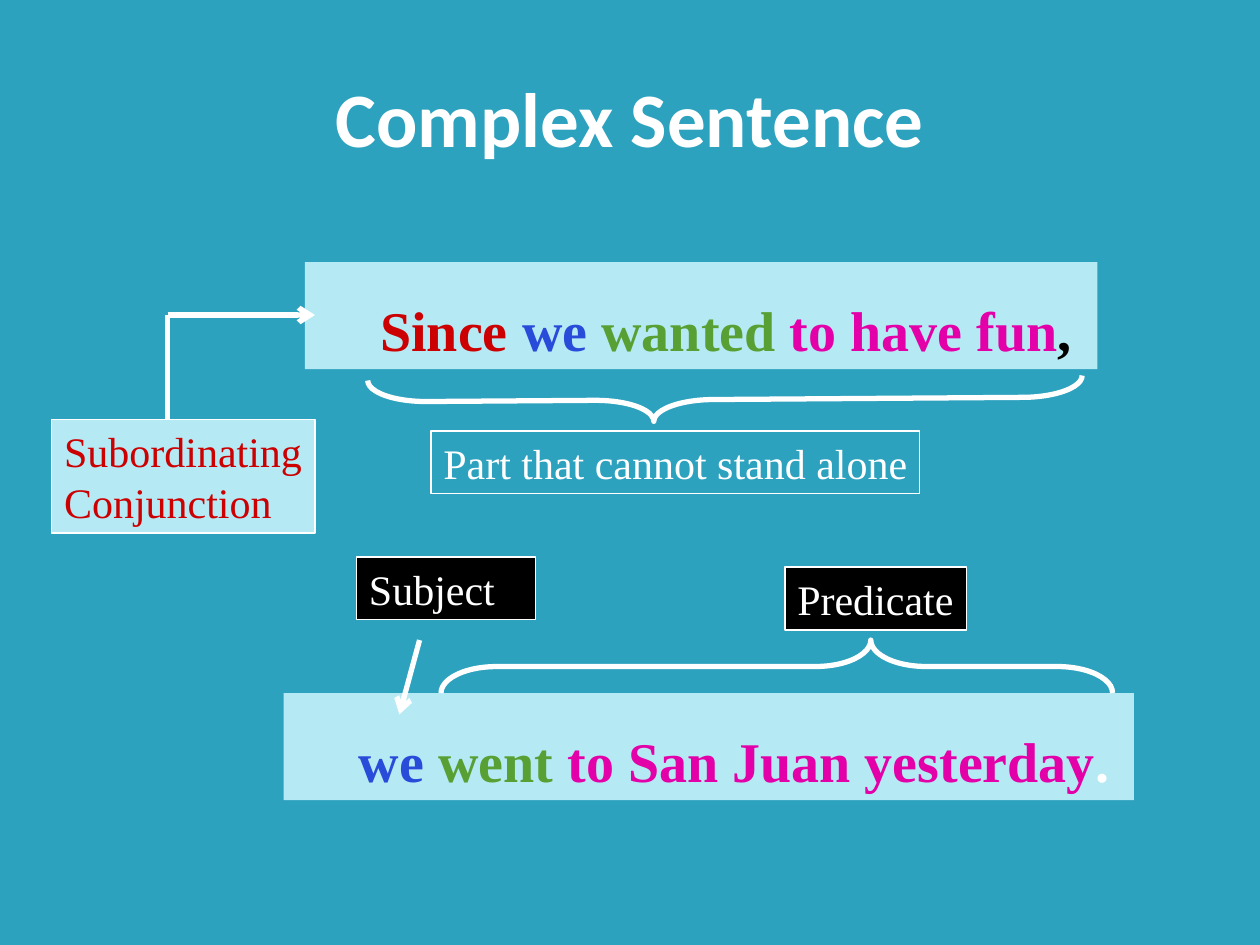
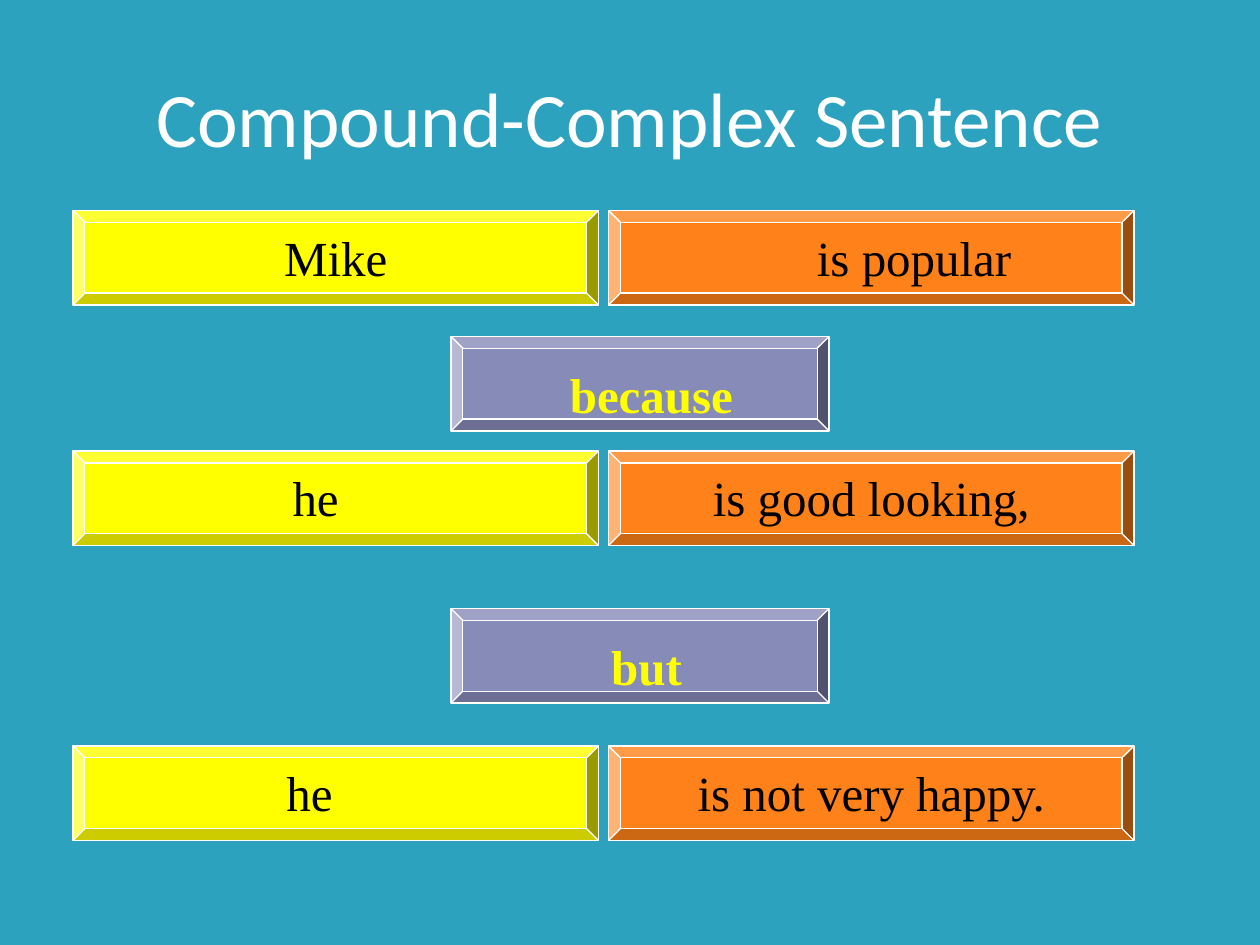
from lxml import etree
from pptx import Presentation
from pptx.dml.color import RGBColor
from pptx.enum.shapes import MSO_CONNECTOR, MSO_SHAPE
from pptx.enum.text import MSO_ANCHOR as ANCHOR, PP_ALIGN as ALIGN
from pptx.oxml.ns import qn
from pptx.util import Inches, Pt

COLORS = {
    "background": "2DA2BF", "pale": "B5E9F4", "white": "FFFFFF", "black": "000000",
    "conjunction": "CC0000", "subject": "294BD9", "verb": "58A034", "rest": "E400A8",
    "yellow": "FFFF00", "orange": "FF8119", "violet": "878BB8",
}
TITLE_FONT = {"name": "Calibri", "size": Pt(44)}
SENTENCE_FONT = {"name": "Times New Roman", "size": Pt(32), "bold": True}
LABEL_FONT = {"name": "Times New Roman", "size": Pt(24)}
CLAUSE_FONT = {"name": "Times New Roman", "size": Pt(28)}
CONNECTIVE_FONT = {**CLAUSE_FONT, "bold": True}


def rgb(color):
    return RGBColor.from_string(COLORS[color])


def inches(box):
    return [Inches(length) for length in box]


def style_font(font, settings, color):
    for name, value in settings.items():
        setattr(font, name, value)
    font.color.rgb = rgb(color)


def add_panel(slide, kind, box, fill=None, line=None, line_width=0.75):
    panel = slide.shapes.add_shape(kind, *inches(box))
    panel.shadow.inherit = False
    for part, color in ((panel.fill, fill), (panel.line.fill, line)):
        if color:
            part.solid()
            part.fore_color.rgb = rgb(color)
        else:
            part.background()
    if line:
        panel.line.width = Pt(line_width)
    return panel


def add_titled_slide(prs, title, bold=False):
    slide = prs.slides.add_slide(prs.slide_layouts[5])
    heading = slide.shapes.title
    heading.left, heading.top, heading.width, heading.height = inches((0.5, 0.3, 9, 1.25))
    heading.text_frame.vertical_anchor = ANCHOR.MIDDLE
    paragraph = heading.text_frame.paragraphs[0]
    paragraph.alignment = ALIGN.CENTER
    run = paragraph.add_run()
    run.text = title
    style_font(run.font, {**TITLE_FONT, "bold": bold}, "white")
    return slide


def add_sentence(slide, box, words):
    """Pale panel holding one sentence, each part of speech in its colour."""
    frame = add_panel(slide, MSO_SHAPE.RECTANGLE, box, "pale").text_frame
    frame.word_wrap = True
    frame.vertical_anchor = ANCHOR.BOTTOM
    paragraph = frame.paragraphs[0]
    paragraph.alignment = ALIGN.LEFT
    paragraph.line_spacing = 1.4
    paragraph._p.get_or_add_pPr().set("marL", str(Inches(0.5)))
    for text, color in words:
        run = paragraph.add_run()
        run.text = text
        style_font(run.font, SENTENCE_FONT, color)


def add_label(slide, box, lines, fill=None, color="white"):
    frame = add_panel(slide, MSO_SHAPE.RECTANGLE, box, fill, "white").text_frame
    frame.word_wrap = False
    frame.vertical_anchor = ANCHOR.TOP
    frame.text = "\n".join(lines)
    for paragraph in frame.paragraphs:
        paragraph.alignment = ALIGN.LEFT
        style_font(paragraph.font, LABEL_FONT, color)


def add_brace(slide, box, rotation, curve, tip):
    """Lay a left brace on its side so that it covers the given box."""
    left, top, width, height = box
    upright = (left + (width - height) / 2, top + (height - width) / 2, height, width)
    brace = add_panel(slide, MSO_SHAPE.LEFT_BRACE, upright, line="white", line_width=3)
    brace.rotation = rotation
    brace.adjustments[0] = curve
    brace.adjustments[1] = tip


def add_pointer(slide, start, end, arrow=True):
    pointer = slide.shapes.add_connector(MSO_CONNECTOR.STRAIGHT, *inches(start + end))
    pointer.line.width = Pt(3)
    pointer.line.color.rgb = rgb("white")
    if arrow:
        etree.SubElement(pointer.line._get_or_add_ln(), qn("a:tailEnd"), type="arrow")
    etree.SubElement(pointer._element.spPr, qn("a:effectLst"))


def add_caption(slide, box, text, font, color):
    frame = slide.shapes.add_textbox(*inches(box)).text_frame
    frame.word_wrap = True
    frame.vertical_anchor = ANCHOR.BOTTOM
    paragraph = frame.paragraphs[0]
    paragraph.alignment = ALIGN.CENTER
    run = paragraph.add_run()
    run.text = text
    style_font(run.font, font, color)


def add_bevel(slide, box, fill):
    add_panel(slide, MSO_SHAPE.BEVEL, box, fill, "white").adjustments[0] = 0.125


def add_clause(slide, top, subject, predicate, subject_left=0.67, predicate_left=5.08):
    parts = ((0.58, "yellow", subject_left, subject),
             (4.83, "orange", predicate_left, predicate))
    for left, fill, text_left, text in parts:
        add_bevel(slide, (left, top, 4.17, 0.75), fill)
        add_caption(slide, (text_left, top + 0.08, 3.67, 0.57), text, CLAUSE_FONT, "black")


def add_connective(slide, top, text, text_left, text_width):
    add_bevel(slide, (3.58, top, 3, 0.75), "violet")
    add_caption(slide, (text_left, top + 0.17, text_width, 0.57), text,
                CONNECTIVE_FONT, "yellow")


def build_complex_sentence(prs):
    slide = add_titled_slide(prs, "Complex Sentence", bold=True)
    add_sentence(slide, (2.42, 2.08, 6.29, 0.85), [
        ("Since ", "conjunction"), ("we ", "subject"), ("wanted ", "verb"),
        ("to have fun", "rest"), (",", "black")])
    add_sentence(slide, (2.25, 5.5, 6.75, 0.85), [
        ("we ", "subject"), ("went ", "verb"),
        ("to San Juan yesterday", "rest"), (".", "white")])

    add_label(slide, (6.23, 4.5, 1.44, 0.5), ["Predicate"], "black")
    add_label(slide, (2.83, 4.42, 1.42, 0.5), ["Subject"], "black")
    add_label(slide, (0.41, 3.33, 2.09, 0.9), ["Subordinating", "Conjunction"],
              "pale", "conjunction")
    add_label(slide, (3.42, 3.42, 3.88, 0.5), ["Part that cannot stand alone"])

    add_brace(slide, (3.5, 5.08, 5.33, 0.42), rotation=90, curve=1.05, tip=0.36)
    add_brace(slide, (2.92, 3, 5.67, 0.34), rotation=269.6, curve=1.38, tip=0.4)

    add_pointer(slide, (3.33, 5.08), (3.17, 5.67))
    corner = (1.33, 2.5)
    add_pointer(slide, corner, (1.33, 3.33), arrow=False)
    add_pointer(slide, corner, (2.5, 2.5))


def build_compound_complex_sentence(prs):
    slide = add_titled_slide(prs, "Compound-Complex Sentence")
    add_clause(slide, 1.67, "Mike", "is popular", subject_left=0.83, predicate_left=5.42)
    add_connective(slide, 2.67, "because", 4.17, 2)
    add_clause(slide, 3.58, "he", "is good looking,")
    add_connective(slide, 4.83, "but", 4.42, 1.42)
    add_clause(slide, 5.92, "he ", "is not very happy.")


def main():
    prs = Presentation()
    prs.slide_width, prs.slide_height = Inches(10), Inches(7.5)
    backdrop = prs.slide_master.background.fill
    backdrop.solid()
    backdrop.fore_color.rgb = rgb("background")
    build_complex_sentence(prs)
    build_compound_complex_sentence(prs)
    prs.save("out.pptx")


if __name__ == "__main__":
    main()
